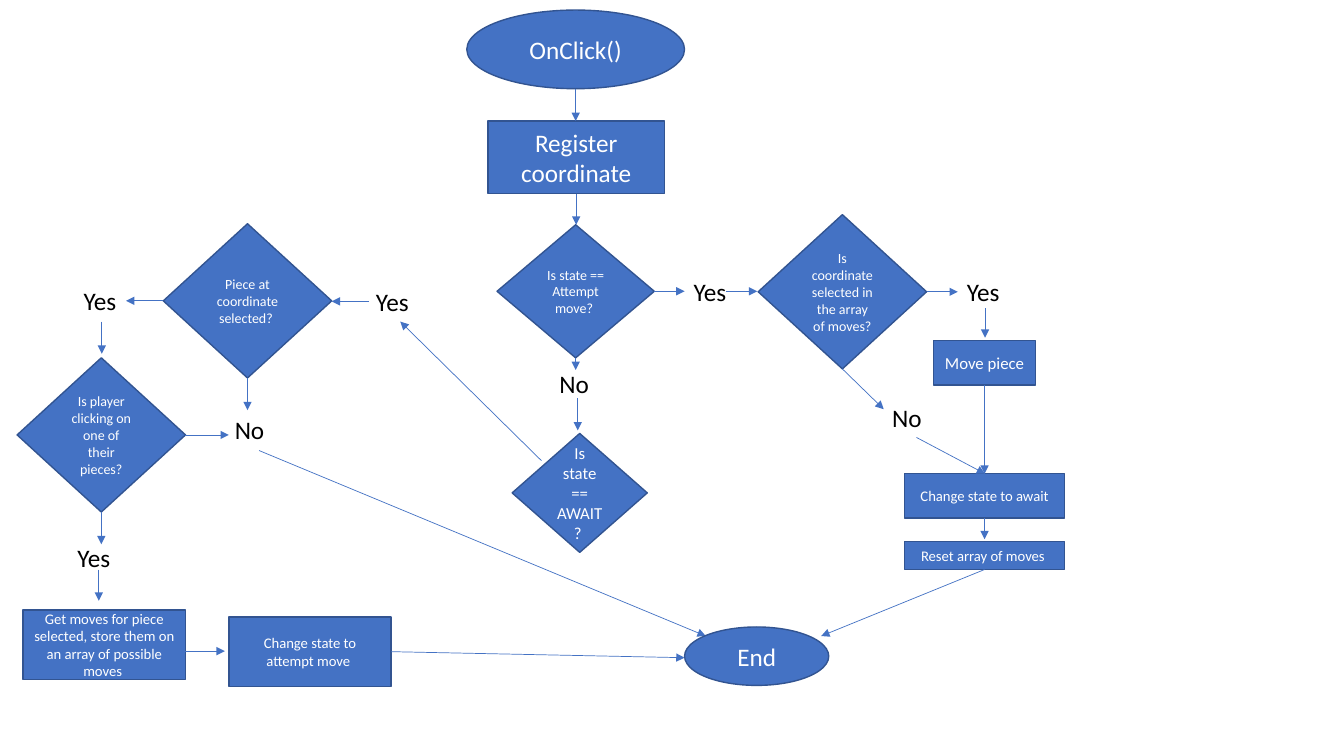
import pptx
import pptx.dml.color
import pptx.enum.shapes
import pptx.enum.text
import pptx.oxml
import pptx.oxml.ns
import pptx.util

Inches = pptx.util.Inches
SHAPE = pptx.enum.shapes.MSO_SHAPE
BLUE, OUTLINE, WHITE, BLACK = "4472C4", "325491", "FFFFFF", "000000"


def colour(value):
    return pptx.dml.color.RGBColor.from_string(value)


def write(frame, text, size=18, color=BLACK, align="LEFT", anchor="TOP"):
    frame.word_wrap = True
    frame.vertical_anchor = pptx.enum.text.MSO_ANCHOR[anchor]
    para = frame.paragraphs[0]
    para.alignment = pptx.enum.text.PP_ALIGN[align]
    span = para.add_run()
    span.text = text
    span.font.name = "Calibri"
    span.font.size = pptx.util.Pt(size)
    span.font.color.rgb = colour(color)


def add_step(page, kind, box, text, size):
    step = page.shapes.add_shape(kind, *(Inches(length) for length in box))
    step.shadow.inherit = False
    step.fill.solid()
    step.fill.fore_color.rgb = colour(BLUE)
    step.line.color.rgb = colour(OUTLINE)
    step.line.width = pptx.util.Pt(1)
    write(step.text_frame, text, size=size, color=WHITE, align="CENTER", anchor="MIDDLE")
    return step


def add_answer(page, left, top, text):
    answer = page.shapes.add_textbox(Inches(left), Inches(top), Inches(0.68), Inches(0.4))
    write(answer.text_frame, text)
    answer.text_frame.auto_size = pptx.enum.text.MSO_AUTO_SIZE.SHAPE_TO_FIT_TEXT


def side(step, name):
    """Middle of one side of a step, in inches."""
    across, down = {"left": (0, 0.5), "right": (1, 0.5), "bottom": (0.5, 1)}[name]
    return ((step.left + across * step.width) / Inches(1),
            (step.top + down * step.height) / Inches(1))


def add_arrow(page, start, across=0, down=0):
    x, y = start
    ends = (Inches(length) for length in (x, y, x + across, y + down))
    arrow = page.shapes.add_connector(pptx.enum.shapes.MSO_CONNECTOR.STRAIGHT, *ends)
    arrow.line.color.rgb = colour(BLUE)
    arrow.line.width = pptx.util.Pt(0.5)
    head = pptx.oxml.parse_xml(
        '<a:tailEnd %s type="triangle"/>' % pptx.oxml.ns.nsdecls("a"))
    arrow.line._get_or_add_ln().append(head)
    no_effects = pptx.oxml.parse_xml("<a:effectLst %s/>" % pptx.oxml.ns.nsdecls("a"))
    arrow._element.spPr.append(no_effects)


def draw_start(page, left, top):
    # Steps
    click = add_step(page, SHAPE.OVAL, (left, top, 2.16, 0.78), "OnClick()", 18)
    register = add_step(page, SHAPE.RECTANGLE, (left + 0.21, top + 1.1, 1.75, 0.72),
                        "Register coordinate", 18)
    attempt = add_step(page, SHAPE.DIAMOND, (left + 0.3, top + 2.13, 1.56, 1.32),
                       "Is state == Attempt move? ", 10)
    add_step(page, SHAPE.DIAMOND, (left + 0.45, top + 4.2, 1.34, 1.18),
             "Is state == AWAIT? ", 12)
    # Answers
    add_answer(page, left + 0.82, top + 3.5, "No")
    add_answer(page, left + 2.15, top + 2.59, "Yes")
    # Arrows
    add_arrow(page, side(click, "bottom"), down=0.32)
    add_arrow(page, side(register, "bottom"), down=0.31)
    add_arrow(page, side(attempt, "bottom"), down=0.12)
    add_arrow(page, side(attempt, "right"), across=0.3)
    add_arrow(page, (left + 2.57, top + 2.79), across=0.31)
    add_arrow(page, (left + 1.1, top + 3.85), down=0.32)
    add_arrow(page, (left + 0.74, top + 4.47), across=-1.4, down=-1.38)


def draw_selection(page, left, top):
    # Steps
    piece = add_step(page, SHAPE.DIAMOND, (left + 1.45, top, 1.67, 1.53),
                     "Piece at coordinate selected? ", 10)
    owner = add_step(page, SHAPE.DIAMOND, (left, top + 1.33, 1.67, 1.53),
                     "Is player clicking on one of their pieces?", 10)
    add_step(page, SHAPE.RECTANGLE, (left + 0.06, top + 3.83, 1.61, 0.69),
             "Get moves for piece selected, store them on an array of possible moves ", 10.5)
    change = add_step(page, SHAPE.RECTANGLE, (left + 2.1, top + 3.9, 1.61, 0.69),
                      "Change state to attempt move ", 10.5)
    # Answers
    add_answer(page, left + 3.46, top + 0.57, "Yes")
    add_answer(page, left + 0.56, top + 0.56, "Yes")
    add_answer(page, left + 2.06, top + 1.84, "No")
    add_answer(page, left + 0.5, top + 3.11, "Yes")
    # Arrows
    add_arrow(page, (left + 3.49, top + 0.77), across=-0.37)
    add_arrow(page, side(piece, "left"), across=-0.37)
    add_arrow(page, side(piece, "bottom"), down=0.32)
    add_arrow(page, (left + 0.84, top + 0.97), down=0.32)
    add_arrow(page, side(owner, "right"), across=0.43)
    add_arrow(page, side(owner, "bottom"), down=0.32)
    add_arrow(page, (left + 0.81, top + 3.43), down=0.31)
    add_arrow(page, (left + 1.67, top + 4.24), across=0.39)
    add_arrow(page, (left + 2.4, top + 2.25), across=4.43, down=1.84)
    add_arrow(page, side(change, "right"), across=2.91, down=0.06)


def draw_move(page, left, top):
    # Steps
    allowed = add_step(page, SHAPE.DIAMOND, (left, top, 1.67, 1.53),
                       "Is coordinate selected in the array of moves?", 10)
    move = add_step(page, SHAPE.RECTANGLE, (left + 1.74, top + 1.25, 1.01, 0.44),
                    "Move piece ", 12)
    change = add_step(page, SHAPE.RECTANGLE, (left + 1.45, top + 2.57, 1.59, 0.44),
                      "Change state to await", 10.5)
    reset = add_step(page, SHAPE.RECTANGLE, (left + 1.45, top + 3.24, 1.59, 0.28),
                     "Reset array of moves ", 10.5)
    # Answers
    add_answer(page, left + 1.23, top + 1.81, "No")
    add_answer(page, left + 1.97, top + 0.56, "Yes")
    # Arrows
    add_arrow(page, side(allowed, "right"), across=0.31)
    add_arrow(page, side(allowed, "bottom"), across=0.41, down=0.4)
    add_arrow(page, (left + 2.25, top + 0.93), down=0.29)
    add_arrow(page, side(move, "bottom"), down=0.88)
    add_arrow(page, (left + 1.57, top + 2.21), across=0.68, down=0.36)
    add_arrow(page, side(change, "bottom"), down=0.21)
    add_arrow(page, side(reset, "bottom"), across=-1.62, down=0.66)


def main():
    deck = pptx.Presentation()
    deck.slide_width, deck.slide_height = Inches(13.33), Inches(7.5)
    page = deck.slides.add_slide(deck.slide_layouts[6])
    draw_start(page, 4.63, 0.1)
    draw_selection(page, 0.17, 2.22)
    draw_move(page, 7.52, 2.13)
    add_step(page, SHAPE.OVAL, (6.79, 6.22, 1.43, 0.58), "End", 18)
    deck.save("out.pptx")


if __name__ == "__main__":
    main()
